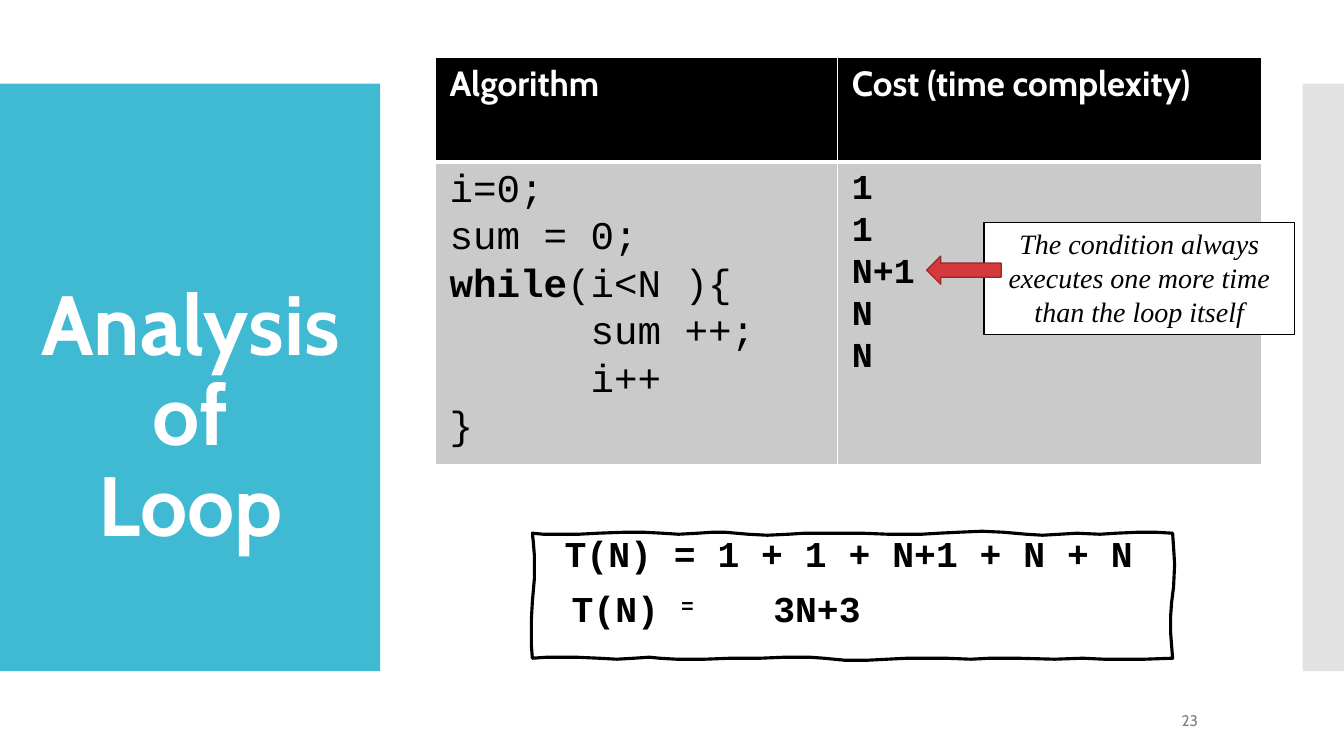
from dataclasses import dataclass

from lxml.etree import SubElement
from pptx import Presentation
from pptx.dml.color import RGBColor
from pptx.enum.shapes import MSO_SHAPE
from pptx.enum.text import MSO_ANCHOR, MSO_AUTO_SIZE, PP_ALIGN
from pptx.oxml.ns import qn
from pptx.util import Inches, Pt


@dataclass(frozen=True)
class Theme:
    teal: str = "40B9D2"
    panel: str = "C7C7C7"
    black: str = "000000"
    white: str = "FFFFFF"
    cell: str = "CACACA"
    red: str = "D4393C"
    dark_red: str = "9C272A"
    muted: str = "7E7E7E"
    head_font: str = "Cabin"
    code_font: str = "Courier New"
    note_font: str = "Times New Roman"
    title: float = 60
    header: float = 25
    code: float = 28
    cost: float = 25
    formula: float = 26
    note: float = 20
    number: float = 11


def rgb(color):
    return RGBColor.from_string(color)


def write(tf, paragraphs, size, font, color, bold=False, italic=False, align=PP_ALIGN.LEFT,
          line=None, insets=(0, 0, 0, 0), anchor=MSO_ANCHOR.TOP, indents=()):
    """Each paragraph is a string or a list of (text, overrides) runs."""
    tf.word_wrap = True
    tf.auto_size = MSO_AUTO_SIZE.NONE
    tf.vertical_anchor = anchor
    tf.margin_left, tf.margin_top, tf.margin_right, tf.margin_bottom = map(Inches, insets)
    for i, runs in enumerate(paragraphs):
        p = tf.paragraphs[0] if i == 0 else tf.add_paragraph()
        p.alignment = align
        p.space_before = p.space_after = Pt(0)
        if line:
            p.line_spacing = Pt(line)
        if indents:
            pPr = p._p.get_or_add_pPr()
            pPr.set("marL", str(Inches(indents[i])))
            pPr.set("indent", "0")
            pPr.set("defTabSz", str(Inches(1)))
        for text, extra in [(runs, {})] if isinstance(runs, str) else runs:
            r = p.add_run()
            r.text = text
            r.font.size, r.font.name = Pt(size), font
            r.font.bold, r.font.italic = extra.get("bold", bold), italic
            r.font.color.rgb = rgb(color)
            if "baseline" in extra:
                r.font._element.set("baseline", str(extra["baseline"]))


class Deck:
    def __init__(self, theme):
        self.t = theme
        self.prs = Presentation()
        self.prs.slide_width, self.prs.slide_height = Inches(13.33), Inches(7.5)
        self.s = self.prs.slides.add_slide(self.prs.slide_layouts[5])

    def style(self, sp, fill=None, line=None, width=1.0, alpha=None):
        sp.shadow.inherit = False
        if fill:
            sp.fill.solid()
            sp.fill.fore_color.rgb = rgb(fill)
        else:
            sp.fill.background()
        if alpha:
            clr = sp._element.spPr.find(qn("a:solidFill"))[0]
            SubElement(clr, qn("a:alpha")).set("val", str(alpha * 1000))
        if line:
            sp.line.color.rgb = rgb(line)
            sp.line.width = Pt(width)
        else:
            sp.line.fill.background()
        return sp

    def shape(self, kind, box, **look):
        return self.style(self.s.shapes.add_shape(kind, *map(Inches, box)), **look)

    def outline(self, points, **look):
        # The builder rounds to whole units, so it works in hundredths of an inch
        units = [(round(x * 100), round(y * 100)) for x, y in points]
        fb = self.s.shapes.build_freeform(*units[0], scale=Inches(0.01))
        fb.add_line_segments(units[1:], close=True)
        return self.style(fb.convert_to_shape(), **look)

    def text(self, box, paragraphs, **fmt):
        sp = self.s.shapes.add_textbox(*map(Inches, box))
        write(sp.text_frame, paragraphs, **fmt)

    def title(self, box, paragraphs, **fmt):
        sp = self.s.shapes.title
        sp.left, sp.top, sp.width, sp.height = map(Inches, box)
        write(sp.text_frame, paragraphs, **fmt)
        self.s.shapes.element.append(sp.element)  # in front of the panel

    def table(self, box, widths, heights, cells):
        frame = self.s.shapes.add_table(len(heights), len(widths), *map(Inches, box))
        tbl = frame.table
        tbl.first_row = tbl.horz_banding = False
        for col, width in zip(tbl.columns, widths):
            col.width = Inches(width)
        for i, (row, height) in enumerate(zip(tbl.rows, heights)):
            row.height = Inches(height)
            for cell, (paragraphs, fill, top, fmt) in zip(row.cells, cells[i]):
                self.borders(cell, {"lnB" if i == 0 else "lnT": 3})
                cell.fill.solid()
                cell.fill.fore_color.rgb = rgb(fill)
                write(cell.text_frame, paragraphs, **fmt)
                cell.margin_left, cell.margin_right = Inches(0.14), Inches(0.05)
                cell.margin_top, cell.margin_bottom = Inches(top), Inches(0)

    def borders(self, cell, wide):
        tcPr = cell._tc.get_or_add_tcPr()
        for side in ("lnL", "lnR", "lnT", "lnB"):
            ln = SubElement(tcPr, qn(f"a:{side}"), w=str(Pt(wide.get(side, 1))))
            SubElement(SubElement(ln, qn("a:solidFill")), qn("a:srgbClr"), val=self.t.white)


# Hand-drawn frame, clockwise from the top left corner
FRAME = [
    (5.28, 5.29), (5.39, 5.3), (5.74, 5.3), (5.93, 5.29), (6.2, 5.28), (6.38, 5.28),
    (6.57, 5.29), (6.73, 5.3), (6.92, 5.29), (7.07, 5.28), (7.19, 5.28), (7.42, 5.3),
    (7.61, 5.31), (7.82, 5.3), (7.98, 5.29), (8.55, 5.29), (8.81, 5.3), (9.14, 5.3),
    (9.31, 5.29), (9.51, 5.28), (9.74, 5.27), (9.95, 5.28), (10.18, 5.3), (10.34, 5.31),
    (10.51, 5.3), (10.68, 5.29), (10.91, 5.3), (11.07, 5.29), (11.29, 5.28), (11.46, 5.28),
    (11.63, 5.29), (11.64, 5.43), (11.65, 5.6), (11.64, 5.82), (11.62, 5.98), (11.61, 6.12),
    (11.61, 6.27), (11.63, 6.53), (11.35, 6.54), (10.95, 6.54), (10.74, 6.53), (10.46, 6.54),
    (10.09, 6.53), (9.82, 6.53), (9.63, 6.54), (9.38, 6.53), (9, 6.53), (8.8, 6.54),
    (8.6, 6.55), (8.38, 6.55), (8.17, 6.53), (8.03, 6.52), (7.79, 6.52), (7.54, 6.53),
    (7.25, 6.53), (6.99, 6.54), (6.71, 6.54), (6.54, 6.53), (6.44, 6.52), (6.29, 6.53),
    (6.12, 6.54), (5.94, 6.53), (5.71, 6.52), (5.43, 6.52), (5.28, 6.53), (5.27, 6.4),
    (5.27, 6.15), (5.28, 5.97), (5.3, 5.74), (5.3, 5.51), (5.29, 5.38),
]


def main():
    t = Theme()
    deck = Deck(t)

    # Side panels and title
    deck.shape(MSO_SHAPE.RECTANGLE, (0, 0.83, 3.77, 5.83), fill=t.teal)
    deck.shape(MSO_SHAPE.RECTANGLE, (12.92, 0.83, 0.41, 5.83), fill=t.panel, alpha=50)
    deck.title((0.24, 2.66, 3.3, 2.83), ["Analysis of", "Loop"], size=t.title,
               font=t.head_font, color=t.white, bold=True, align=PP_ALIGN.CENTER,
               line=64.8, insets=(0, 0.13, 0, 0))

    # Total cost in its frame
    deck.outline(FRAME, line=t.black, width=2.25)
    deck.text((5.56, 5.16, 5.9, 1.14),
              ["T(N) = 1 + 1 + N+1 + N + N",
               [("T(N) ", {}), ("=\t", {"baseline": 26000}), ("3N+3", {})]],
              size=t.formula, font=t.code_font, color=t.black, bold=True, line=39.3,
              indents=(0.04, 0.11))

    # Algorithm and cost table
    head = dict(size=t.header, font=t.head_font, color=t.white, bold=True)
    code = dict(size=t.code, font=t.code_font, color=t.black, line=34)
    cost = dict(size=t.cost, font=t.code_font, color=t.black, bold=True, line=30)
    lines = ["i=0;", "sum = 0;", [("while", {"bold": True}), ("(i<N ){", {})],
             "      sum ++;", "      i++", "}"]
    deck.table((4.32, 0.57, 8.19, 4.04), (3.99, 4.2), (1.04, 3), [
        [(["Algorithm"], t.black, 0.05, head),
         (["Cost (time complexity)"], t.black, 0.05, head)],
        [(lines, t.cell, 0.04, code),
         (["1", "1", "N+1", "N", "N"], t.cell, 0.06, cost)],
    ])

    # Note on the loop condition
    note = deck.shape(MSO_SHAPE.RECTANGLE, (9.76, 2.21, 3.08, 1.11),
                      fill=t.white, line=t.black, width=0.85)
    write(note.text_frame, ["The condition always executes one more time than the loop itself"],
          size=t.note, font=t.note_font, color=t.black, italic=True, align=PP_ALIGN.CENTER,
          line=24, insets=(0.1, 0, 0.1, 0.03), anchor=MSO_ANCHOR.MIDDLE)
    deck.shape(MSO_SHAPE.LEFT_ARROW, (9.19, 2.54, 0.74, 0.28),
               fill=t.red, line=t.dark_red, width=0.85)

    # Page number
    deck.text((11.72, 7.04, 0.3, 0.21), ["23"], size=t.number, font=t.head_font,
              color=t.muted, insets=(0, 0.01, 0, 0))

    deck.prs.save("out.pptx")


if __name__ == "__main__":
    main()
